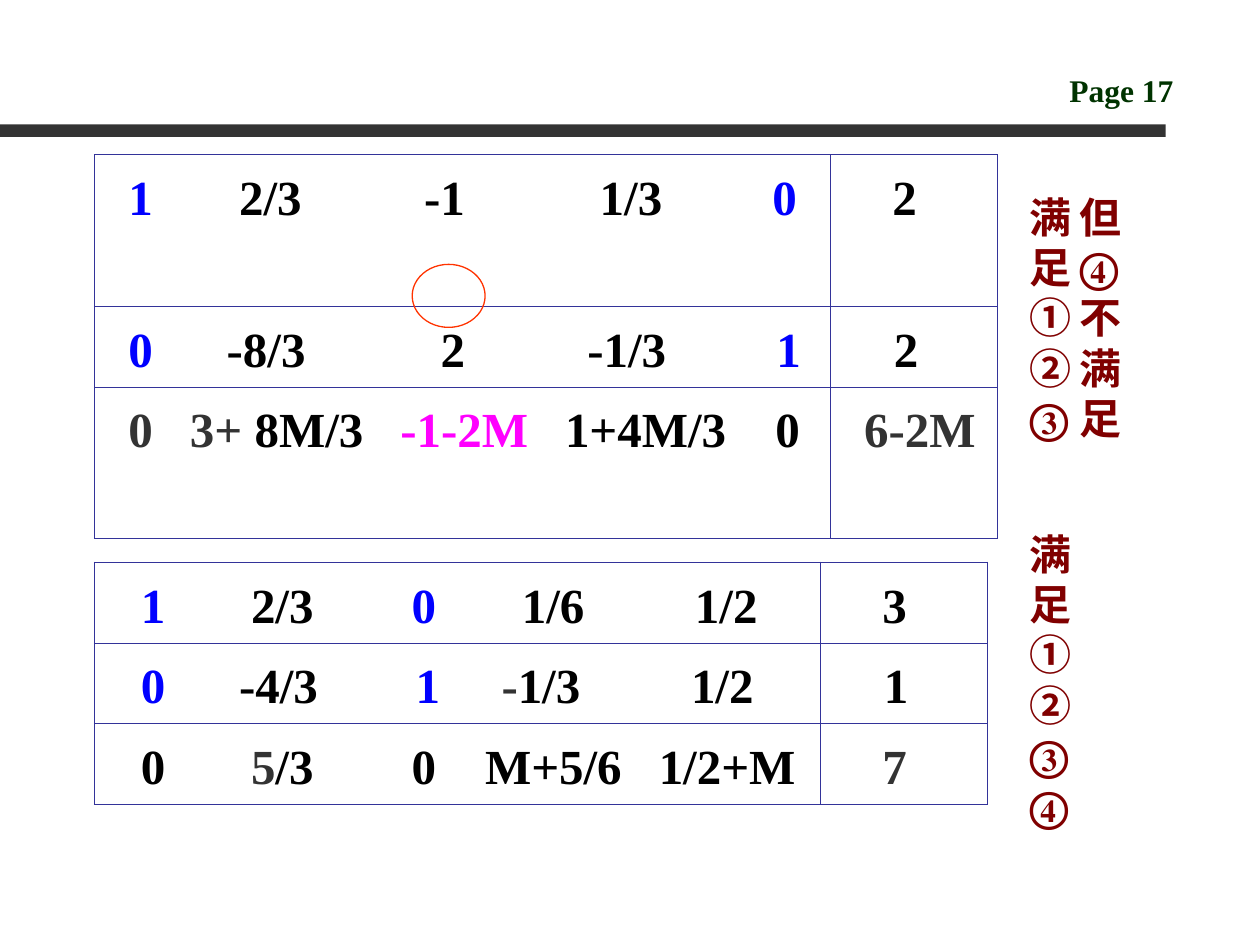
from typing import NamedTuple, Optional

from lxml import etree
from pptx import Presentation
from pptx.dml.color import RGBColor
from pptx.enum import shapes
from pptx.oxml import ns
from pptx.util import Cm, Pt

FACE = "Times New Roman"
BLACK, BLUE, GREY, PINK = "000000", "0000FF", "333333", "FF00FF"
GREEN, MAROON, RED, NAVY = "003300", "800000", "FF3300", "333399"


class Part(NamedTuple):
    """Text with its tab stop in cm; without one it joins the part before."""
    text: str
    at: Optional[float]
    hue: str = BLACK


class Row(NamedTuple):
    high: float
    left: list[Part]
    right: list[Part]


class Grid(NamedTuple):
    top: float
    cols: tuple[float, float]
    rows: list[Row]


class Note(NamedTuple):
    x: float
    y: float
    wide: float
    high: float
    lines: list[str]
    size: int = 24
    hue: str = MAROON


GRIDS = [
    Grid(3.12, (14.83, 3.38), [
        Row(3.05, [Part("1", 0.49, BLUE), Part("2/3", 2.72), Part("-1", 6.45),
                   Part("1/3", 9.99), Part("0", 13.47, BLUE)],
            [Part("2", 1.06)]),
        Row(1.63, [Part("0", 0.49, BLUE), Part("-8/3", 2.47), Part("2", 6.78),
                   Part("-1/3", 9.74), Part("1", 13.55, BLUE)],
            [Part("2", 1.09)]),
        Row(3.05, [Part("0", 0.49, GREY), Part("3+ ", 1.73, GREY),
                   Part("8M/3", None), Part("-1-2M", 5.97, PINK),
                   Part("1+4M/3", 9.29), Part("0", 13.53)],
            [Part("6-2M", 0.49, GREY)]),
    ]),
    Grid(11.33, (14.63, 3.38), [
        Row(1.63, [Part("1", 0.74, BLUE), Part("2/3", 2.96),
                   Part("0", 6.2, BLUE), Part("1/6", 8.42),
                   Part("1/2", 11.91)],
            [Part("3", 1.06)]),
        Row(1.63, [Part("0", 0.74, BLUE), Part("-4/3", 2.72),
                   Part("1", 6.28, BLUE), Part("-", 8.01, GREY),
                   Part("1/3", None), Part("1/2", 11.83)],
            [Part("1", 1.09)]),
        Row(1.63, [Part("0", 0.74), Part("5", 2.96, GREY), Part("/3", None),
                   Part("0", 6.2), Part("M+5/6", 7.68), Part("1/2+M", 11.18)],
            [Part("7", 1.06, GREY)]),
    ]),
]

NOTES = [
    Note(21.31, 1.3, 3.61, 1.02, ["Page 17"], 18, GREEN),
    Note(20.5, 3.73, 1.6, 5.33, ["满足① ②", "③"]),
    Note(21.51, 3.73, 1.6, 5.33, ["但", "④", "不", "满足"]),
    Note(20.5, 10.52, 1.6, 6.35, ["满足① ②", "③", "④"]),
]


def paint(color) -> None:
    raise NotImplementedError


def tint(hue: str) -> RGBColor:
    return RGBColor.from_string(hue)


def set_font(para, size: int) -> None:
    font = para.font
    font.name, font.size, font.bold = FACE, Pt(size), True


def add_tabs(para, stops: list[float]) -> None:
    tabs = etree.SubElement(para._p.get_or_add_pPr(), ns.qn("a:tabLst"))
    for stop in stops:
        etree.SubElement(tabs, ns.qn("a:tab"), pos=str(Cm(stop)), algn="l")


def add_edges(cell) -> None:
    props = cell._tc.get_or_add_tcPr()
    for spot, side in enumerate(("lnL", "lnR", "lnT", "lnB")):
        line = etree.Element(ns.qn(f"a:{side}"), w=str(Pt(0.45)))
        fill = etree.SubElement(line, ns.qn("a:solidFill"))
        etree.SubElement(fill, ns.qn("a:srgbClr"), val=NAVY)
        props.insert(spot, line)


def fill_cell(cell, parts: list[Part]) -> None:
    cell.fill.background()
    add_edges(cell)
    cell.margin_left = cell.margin_right = Cm(0.2)
    cell.margin_top = cell.margin_bottom = Cm(0.13)
    para = cell.text_frame.paragraphs[0]
    add_tabs(para, [part.at for part in parts if part.at is not None])
    para.line_spacing = 1.2
    set_font(para, 28)
    for part in parts:
        run = para.add_run()
        run.text = part.text if part.at is None else "\t" + part.text
        run.font.color.rgb = tint(part.hue)


def add_grid(slide, grid: Grid) -> None:
    high = sum(row.high for row in grid.rows)
    table = slide.shapes.add_table(
        len(grid.rows), 2, Cm(1.9), Cm(grid.top),
        Cm(sum(grid.cols)), Cm(high)).table
    table.first_row = table.horz_banding = False
    for col, wide in zip(table.columns, grid.cols):
        col.width = Cm(wide)
    for line, row in zip(table.rows, grid.rows):
        line.height = Cm(row.high)
        for cell, parts in zip(line.cells, (row.left, row.right)):
            fill_cell(cell, parts)


def add_note(slide, note: Note) -> None:
    box = slide.shapes.add_textbox(
        Cm(note.x), Cm(note.y), Cm(note.wide), Cm(note.high))
    frame = box.text_frame
    frame.word_wrap = True
    frame.text = "\n".join(note.lines)
    for para in frame.paragraphs:
        set_font(para, note.size)
        para.font.color.rgb = tint(note.hue)


def add_bar(slide) -> None:
    bar = slide.shapes.add_shape(
        shapes.MSO_SHAPE.RECTANGLE, 0, Cm(2.51), Cm(23.5), Cm(0.25))
    bar.shadow.inherit = False
    bar.fill.solid()
    bar.fill.fore_color.rgb = tint(GREY)
    bar.line.fill.background()


def add_ring(slide) -> None:
    ring = slide.shapes.add_shape(
        shapes.MSO_SHAPE.OVAL, Cm(8.31), Cm(5.33), Cm(1.47), Cm(1.27))
    ring.shadow.inherit = False
    ring.fill.background()
    ring.line.color.rgb = tint(RED)
    ring.line.width = Pt(0.75)


def main() -> None:
    deck = Presentation()
    deck.slide_width, deck.slide_height = Cm(25.4), Cm(19.05)
    slide = deck.slides.add_slide(deck.slide_layouts[6])
    add_bar(slide)
    for grid in GRIDS:
        add_grid(slide, grid)
    add_ring(slide)
    for note in NOTES:
        add_note(slide, note)
    deck.save("out.pptx")


if __name__ == "__main__":
    main()
